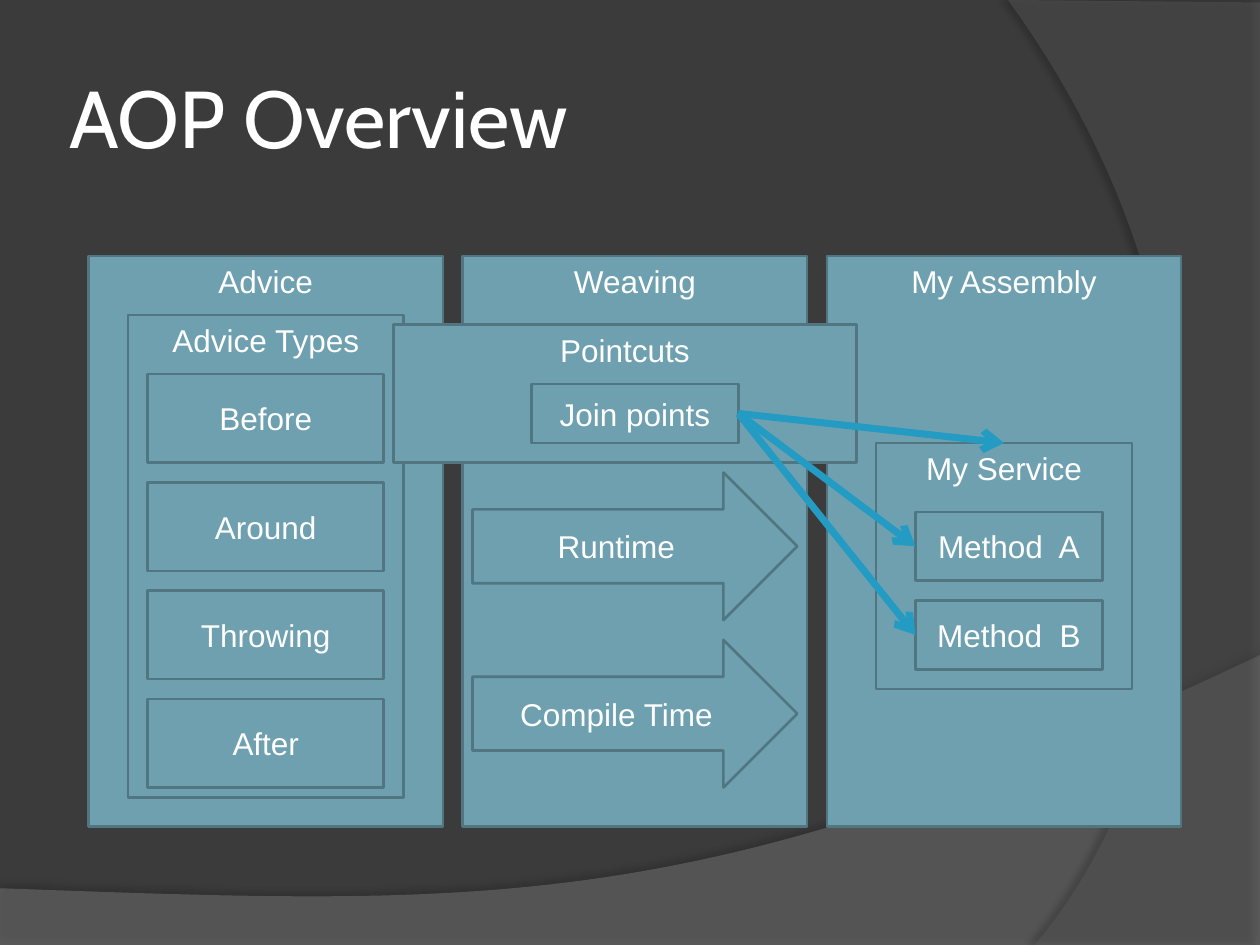
from lxml import etree
from pptx import Presentation
from pptx.dml.color import RGBColor
from pptx.enum.shapes import MSO_CONNECTOR, MSO_SHAPE
from pptx.enum.text import MSO_ANCHOR, MSO_AUTO_SIZE, PP_ALIGN
from pptx.oxml.ns import qn
from pptx.util import Inches, Pt

RECT, ARROW = MSO_SHAPE.RECTANGLE, MSO_SHAPE.RIGHT_ARROW
LINE = MSO_CONNECTOR.STRAIGHT
TOP, MID = MSO_ANCHOR.TOP, MSO_ANCHOR.MIDDLE
LEFT, MIDDLE = PP_ALIGN.LEFT, PP_ALIGN.CENTER
FIT = MSO_AUTO_SIZE.NONE

HEX = {
    "back": "3B3B3B", "wave": "7F7F7F", "side": "5E5E5E", "box": "6EA0B0",
    "edge": "517682", "link": "239BC2", "text": "FFFFFF", "shade": "000000",
}
UNIT = Inches(10) // 128


def color(name):
    return RGBColor.from_string(HEX[name])


def add(node, tag, **attrs):
    return etree.SubElement(node, qn(tag), {k: str(v) for k, v in attrs.items()})


def write(frame, text, font, size, align, anchor):
    frame.text = text
    frame.word_wrap = True
    frame.vertical_anchor = anchor
    par = frame.paragraphs[0]
    par.alignment = align
    par.font.name = font
    par.font.size = Pt(size)
    par.font.color.rgb = color("text")


def box(slide, text, col, row, cols, rows, anchor=MID, kind=RECT):
    shape = slide.shapes.add_shape(kind, *(n * UNIT for n in (col, row, cols, rows)))
    shape.shadow.inherit = False
    shape.fill.solid()
    shape.fill.fore_color.rgb = color("box")
    shape.line.color.rgb = color("edge")
    shape.line.width = Pt(1.5)
    write(shape.text_frame, text, "Arial", 18, MIDDLE, anchor)
    return shape


def link(slide, start, end, site):
    line = slide.shapes.add_connector(LINE, 0, 0, 0, 0)
    line.begin_connect(start, 3)
    line.end_connect(end, site)
    line.line.color.rgb = color("link")
    line.line.width = Pt(4)
    props = line._element.spPr
    add(props.find(qn("a:ln")), "a:tailEnd", type="arrow")
    add(props, "a:effectLst")


def curve(a, b, c, d, steps=60):
    for i in range(1, steps + 1):
        t = i / steps
        u = 1 - t
        mix = (u ** 3, 3 * u * u * t, 3 * u * t * t, t ** 3)
        yield tuple(sum(m * p[k] for m, p in zip(mix, (a, b, c, d))) for k in (0, 1))


def swoosh(slide, name, corners, bend, alpha, dark, dist, angle):
    points = corners + list(curve(corners[-1], *bend))
    spots = [(Inches(x), Inches(y)) for x, y in points]
    form = slide.shapes.build_freeform(*spots[0], scale=1)
    form.add_line_segments(spots[1:], close=True)
    shape = form.convert_to_shape()
    shape.fill.solid()
    shape.fill.fore_color.rgb = color(name)
    props = shape._element.spPr
    add(props.find(qn("a:solidFill"))[0], "a:alpha", val=alpha * 1000)
    shape.line.fill.background()
    shade = add(add(props, "a:effectLst"), "a:outerShdw", blurRad=Pt(4),
                dist=Pt(dist), dir=angle * 60000, algn="ctr", rotWithShape=0)
    add(add(shade, "a:srgbClr", val=HEX["shade"]), "a:alpha", val=dark * 1000)


def title(slide, text):
    head = slide.shapes.title
    head.left, head.top = Inches(0.5), Inches(0.3)
    head.width, head.height = Inches(8.17), Inches(1.25)
    frame = head.text_frame
    frame.auto_size = FIT
    frame.margin_left = frame.margin_right = Inches(0.05)
    frame.margin_top = frame.margin_bottom = Inches(0.05)
    write(frame, text, "Cabin", 46, LEFT, MID)


def main():
    deck = Presentation()
    deck.slide_width, deck.slide_height = Inches(10), Inches(7.5)
    slide = deck.slides.add_slide(deck.slide_layouts[5])
    slide.background.fill.solid()
    slide.background.fill.fore_color.rgb = color("back")
    swoosh(slide, "wave", [(0, 7.05), (0, 7.5), (10, 7.5), (10, 5.2)],
           [(5.59, 7.29), (3.91, 7.19), (0, 7.05)], 45, 35, 3.5, 270)
    swoosh(slide, "side", [(10, 0.02), (10, 7.5), (8.21, 7.5)],
           [(9.35, 6.19), (10.18, 3), (8, 0)], 40, 45, 4, 180)
    title(slide, "AOP Overview")

    for text, col, cols in (("Weaving", 47, 35), ("Advice", 9, 36), ("My Assembly", 84, 36)):
        box(slide, text, col, 26, cols, 58, TOP)

    box(slide, "Advice Types", 13, 32, 28, 49, TOP)
    for i, text in enumerate(("Before", "Around", "Throwing", "After")):
        box(slide, text, 15, 38 + 11 * i, 24, 9)

    for i, text in enumerate(("Runtime", "Compile Time")):
        box(slide, text, 48, 48 + 17 * i, 33, 15, kind=ARROW)

    service = box(slide, "My Service", 89, 45, 26, 25, TOP)
    methods = [box(slide, f"Method  {x}", 93, 52 + 9 * i, 19, 7) for i, x in enumerate("AB")]
    box(slide, "Pointcuts", 40, 33, 47, 14, TOP)
    joins = box(slide, "Join points", 54, 39, 21, 6)
    for method in methods:
        link(slide, joins, method, 1)
    link(slide, joins, service, 0)
    deck.save("out.pptx")


if __name__ == "__main__":
    main()
